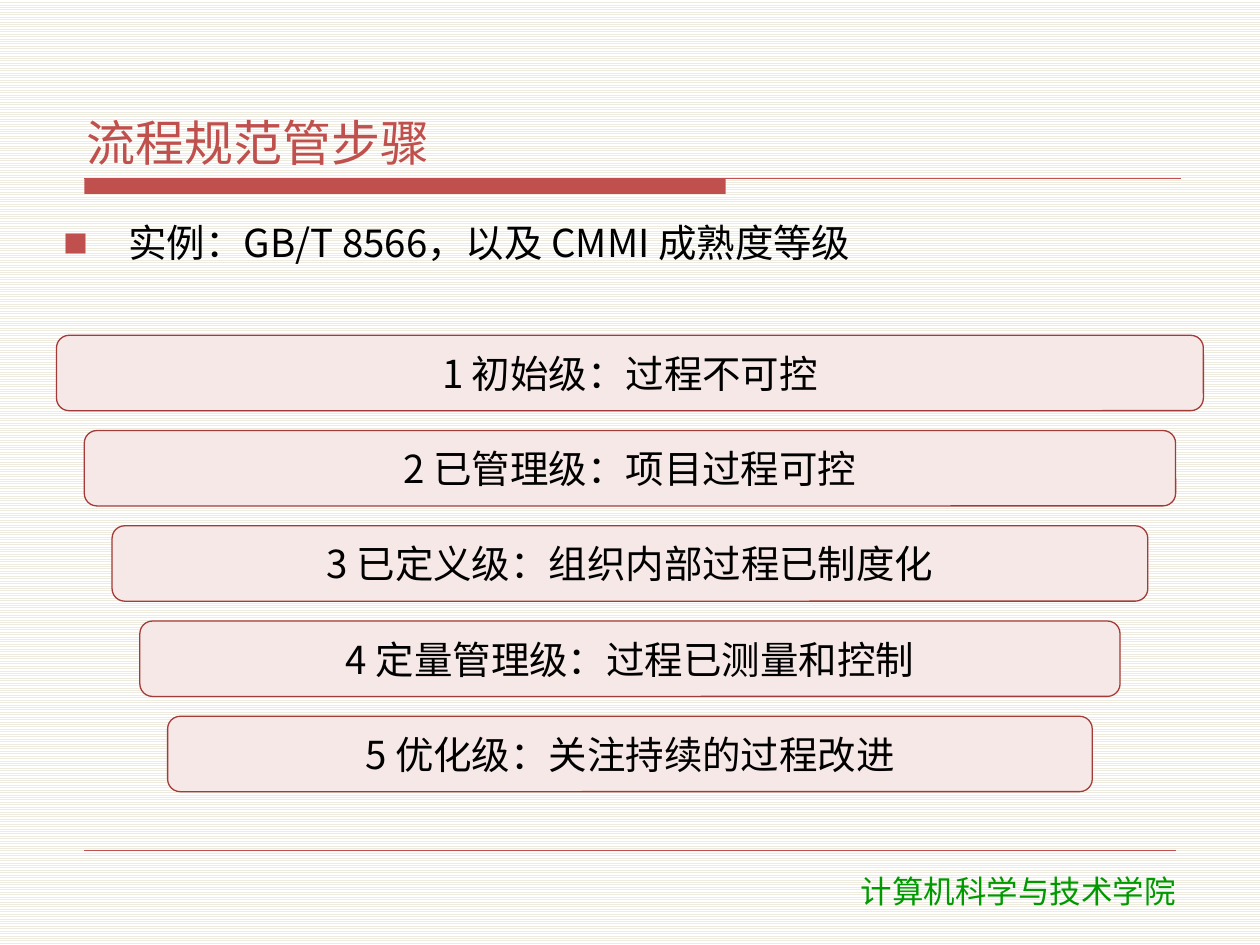
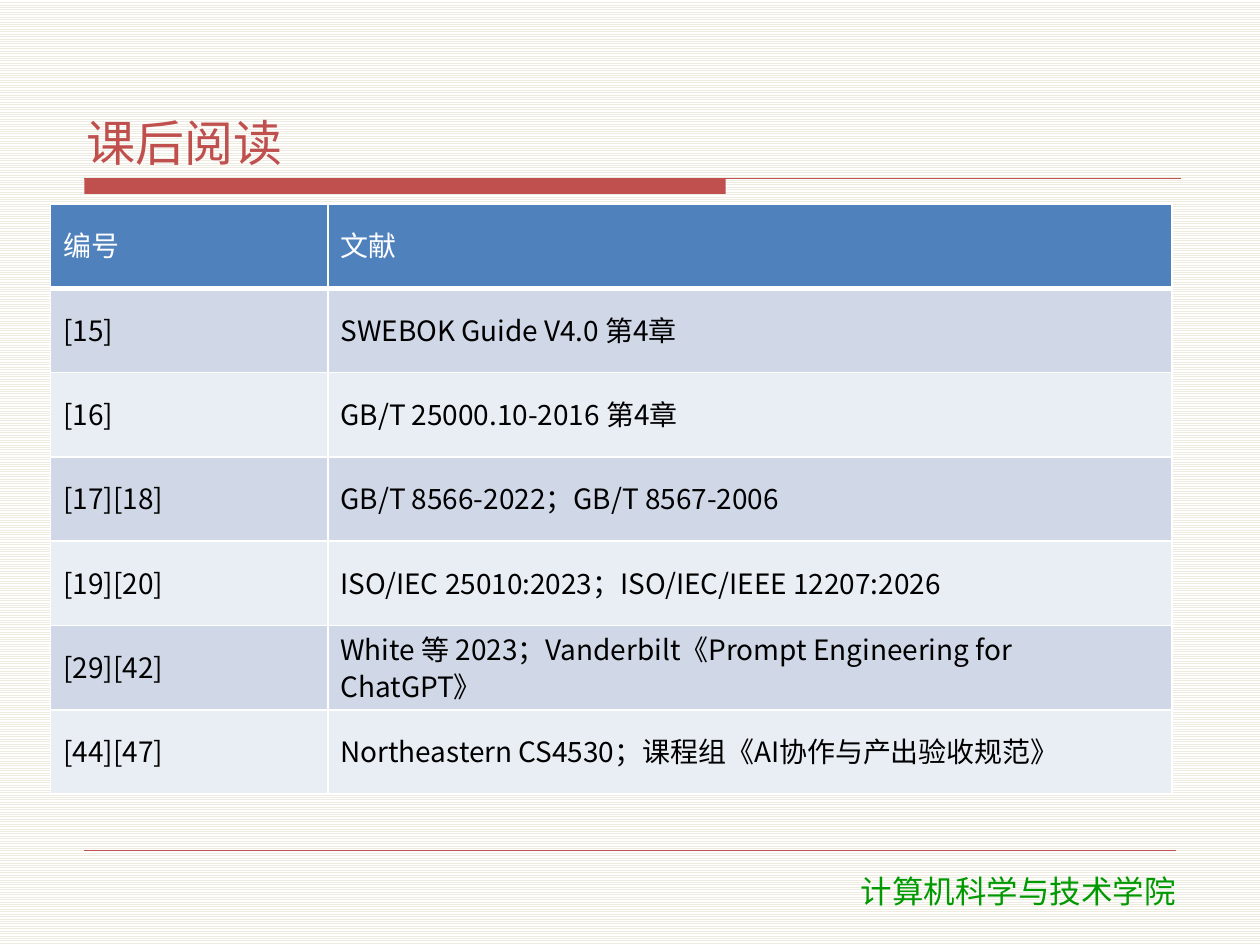
from lxml.etree import SubElement
from pptx import Presentation
from pptx.dml.color import RGBColor
from pptx.enum.dml import MSO_PATTERN
from pptx.enum.shapes import MSO_CONNECTOR, MSO_SHAPE as SHAPE
from pptx.enum.text import MSO_ANCHOR as ANCHOR, PP_ALIGN as ALIGN
from pptx.oxml.ns import qn
from pptx.util import Cm, Pt

COLORS = {
    "accent": "C0504D", "edge": "A33B38", "panel": "F6E8E6",
    "text": "000000", "white": "FFFFFF", "school": "009900", "stripe": "EEECE1",
    "header": "4F81BD", "odd": "D0D8E8", "even": "E9EDF4",
}
FONT = "Noto Sans CJK SC"
SCHOOL_FONT = "DejaVu Sans"
WIDTH, HEIGHT = 25.4, 19.05

LEVELS = [
    "1 初始级：过程不可控",
    "2 已管理级：项目过程可控",
    "3 已定义级：组织内部过程已制度化",
    "4 定量管理级：过程已测量和控制",
    "5 优化级：关注持续的过程改进",
]
READINGS = [
    ("编号", "文献"),
    ("[15]", "SWEBOK Guide V4.0 第4章"),
    ("[16]", "GB/T 25000.10-2016 第4章"),
    ("[17][18]", "GB/T 8566-2022；GB/T 8567-2006"),
    ("[19][20]", "ISO/IEC 25010:2023；ISO/IEC/IEEE 12207:2026"),
    ("[29][42]", "White 等 2023；Vanderbilt《Prompt Engineering for ChatGPT》"),
    ("[44][47]", "Northeastern CS4530；课程组《AI协作与产出验收规范》"),
]


def rgb(name):
    return RGBColor.from_string(COLORS[name])


class Deck:
    def __init__(self):
        self.prs = Presentation()
        self.prs.slide_width, self.prs.slide_height = Cm(WIDTH), Cm(HEIGHT)
        self.s = None

    def slide(self, title):
        self.s = self.prs.slides.add_slide(self.prs.slide_layouts[6])
        fill = self.s.background.fill
        fill.patterned()
        fill.pattern = MSO_PATTERN.LIGHT_HORIZONTAL
        fill.fore_color.rgb, fill.back_color.rgb = rgb("stripe"), rgb("white")
        self.shape(SHAPE.RECTANGLE, 1.7, 3.6, 12.93, 0.31, "accent")
        self.line(1.7, 3.6, 23.8, 0.75)
        self.line(1.7, 17.15, 23.7, 0.25)
        self.text("计算机科学与技术学院", 15.42, 17.53, 10.21, 1.02, 18, "school",
                  align=ALIGN.CENTER, font=SCHOOL_FONT)
        self.text(title, 1.6, 0.84, 22.23, 2.67, 28, "accent", anchor=ANCHOR.BOTTOM)

    def style_text(self, tf, text, size, color, align=ALIGN.LEFT, font=FONT):
        tf.text = text
        p = tf.paragraphs[0]
        p.alignment, p.space_after = align, Pt(2)
        for r in p.runs:
            r.font.name, r.font.size, r.font.bold = font, Pt(size), False
            r.font.color.rgb = rgb(color)
            SubElement(r._r.get_or_add_rPr(), qn("a:ea"), typeface=font)
        return p

    def frame(self, sp, anchor):
        tf = sp.text_frame
        tf.word_wrap, tf.vertical_anchor = True, anchor
        tf.margin_left = tf.margin_right = Cm(0.15)
        tf.margin_top = tf.margin_bottom = Cm(0.05)
        return tf

    def text(self, text, x, y, w, h, size, color, align=ALIGN.LEFT,
             anchor=ANCHOR.TOP, font=FONT):
        sp = self.s.shapes.add_textbox(Cm(x), Cm(y), Cm(w), Cm(h))
        return self.style_text(self.frame(sp, anchor), text, size, color, align, font)

    def bullet(self, text, x, y, w, h):
        p = self.text(text, x, y, w, h, 22, "text")
        pPr = p._p.get_or_add_pPr()
        pPr.set("marL", str(Cm(1.3)))
        pPr.set("indent", str(-Cm(1.3)))
        color = SubElement(pPr, qn("a:buClr"))
        SubElement(color, qn("a:srgbClr"), val=COLORS["accent"])
        SubElement(pPr, qn("a:buSzPct"), val="65000")
        SubElement(pPr, qn("a:buFont"), typeface=FONT)
        SubElement(pPr, qn("a:buChar"), char="■")

    def shape(self, kind, x, y, w, h, fill, edge=None):
        sp = self.s.shapes.add_shape(kind, Cm(x), Cm(y), Cm(w), Cm(h))
        sp.shadow.inherit = False
        sp.fill.solid()
        sp.fill.fore_color.rgb = rgb(fill)
        if edge:
            sp.line.color.rgb, sp.line.width = rgb(edge), Pt(0.75)
        else:
            sp.line.fill.background()
        return sp

    def line(self, x1, y, x2, width):
        c = self.s.shapes.add_connector(MSO_CONNECTOR.STRAIGHT, Cm(x1), Cm(y), Cm(x2), Cm(y))
        c.line.color.rgb, c.line.width = rgb("accent"), Pt(width)
        SubElement(c._element.spPr, qn("a:effectLst"))

    def level(self, text, x, y, w, h):
        sp = self.shape(SHAPE.ROUNDED_RECTANGLE, x, y, w, h, "panel", "edge")
        self.style_text(self.frame(sp, ANCHOR.MIDDLE), text, 22, "text", ALIGN.CENTER)

    def borders(self, cell, bottom):
        tcPr = cell._tc.get_or_add_tcPr()
        for side, width in (("L", 1), ("R", 1), ("T", 1), ("B", bottom)):
            ln = SubElement(tcPr, qn(f"a:ln{side}"), w=str(Pt(width)))
            fill = SubElement(ln, qn("a:solidFill"))
            SubElement(fill, qn("a:srgbClr"), val=COLORS["white"])

    def table(self, rows, x, y, widths, row_height):
        tbl = self.s.shapes.add_table(len(rows), len(widths), Cm(x), Cm(y),
                                      Cm(sum(widths)), Cm(row_height * len(rows))).table
        tbl.first_row = tbl.horz_banding = False
        for col, width in zip(tbl.columns, widths):
            col.width = Cm(width)
        for i, row in enumerate(rows):
            tbl.rows[i].height = Cm(row_height)
            fill = "header" if i == 0 else "odd" if i % 2 else "even"
            for j, text in enumerate(row):
                cell = tbl.cell(i, j)
                self.borders(cell, 1 if i else 3)
                cell.fill.solid()
                cell.fill.fore_color.rgb = rgb(fill)
                cell.vertical_anchor = ANCHOR.MIDDLE
                p = self.style_text(cell.text_frame, text, 16, "text" if i else "white")
                p.line_spacing = 0.9


def main():
    deck = Deck()

    deck.slide("流程规范管步骤")
    deck.bullet("实例：GB/T 8566，以及 CMMI 成熟度等级", 1.14, 4.37, 23.12, 2.18)
    for i, level in enumerate(LEVELS):
        left = 1.14 + 0.56 * i
        deck.level(level, left, 6.76 + 1.92 * i, WIDTH - 2 * left, 1.52)

    deck.slide("课后阅读")
    deck.table(READINGS, 1.02, 4.11, (5.59, 17.02), 1.7)

    deck.prs.save("out.pptx")


if __name__ == "__main__":
    main()
